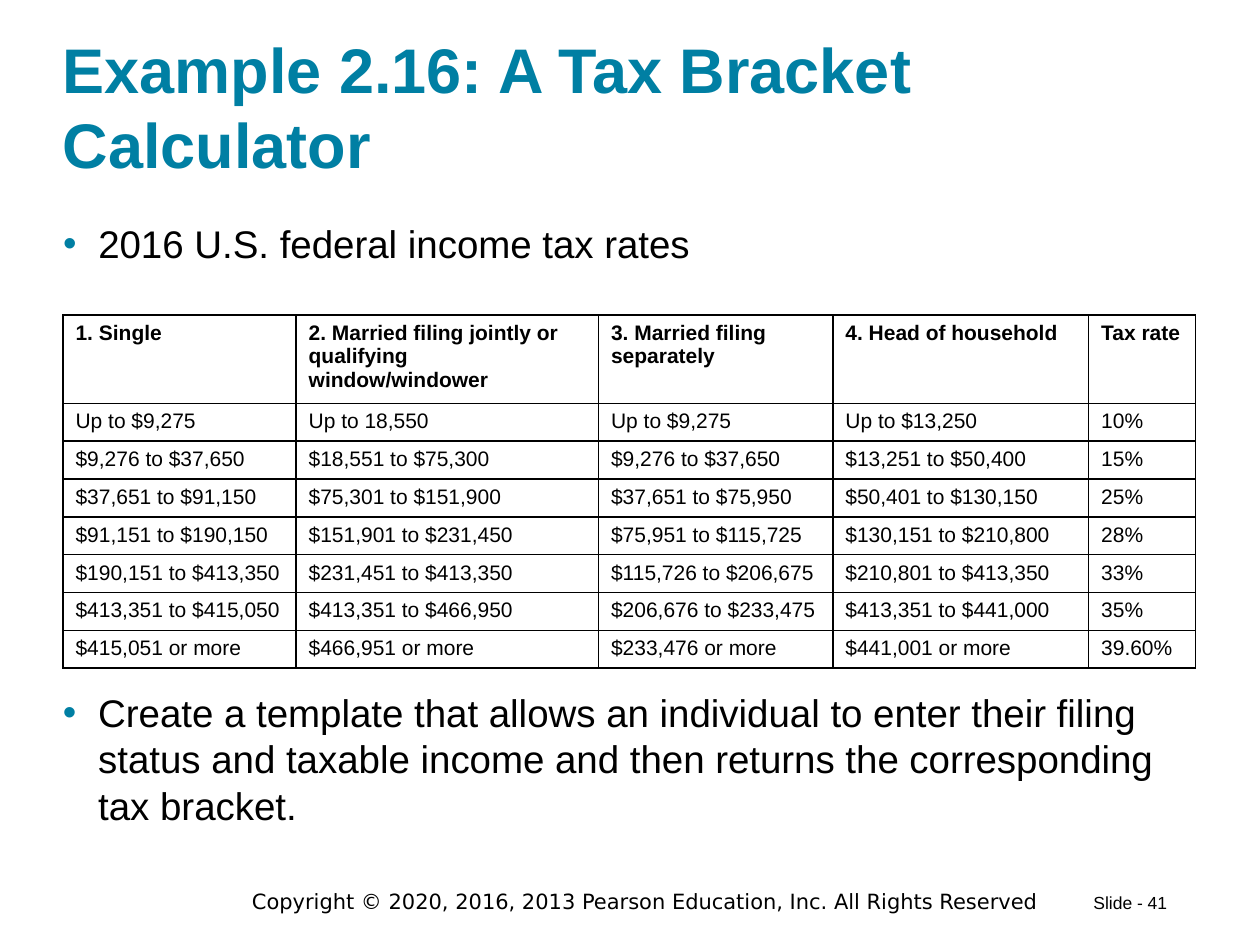
from lxml import etree
from pptx import Presentation
from pptx import util as u
from pptx.dml import color
from pptx.enum import text
from pptx.oxml import ns

COLORS = {"teal": "007FA3", "black": "000000"}
LEFT, WIDTH = 0.5, 9


def add_text(words, left, top, width, height, size, shade="black", font="Arial",
             bold=False, inset=(0, 0), bullet=False):
    frame = slide.shapes.add_textbox(
        u.Inches(left), u.Inches(top), u.Inches(width), u.Inches(height)).text_frame
    frame.word_wrap = True
    frame.margin_left = frame.margin_right = u.Inches(inset[0])
    frame.margin_top = frame.margin_bottom = u.Inches(inset[1])
    frame.text = words
    paragraph = frame.paragraphs[0]
    if bullet:
        props = paragraph._p.get_or_add_pPr()
        props.set("marL", str(u.Inches(0.28)))
        props.set("indent", str(u.Inches(-0.28)))
        bullet_color = etree.SubElement(props, ns.qn("a:buClr"))
        etree.SubElement(bullet_color, ns.qn("a:srgbClr"), val=COLORS["teal"])
        etree.SubElement(props, ns.qn("a:buFont"), typeface="Arial")
        etree.SubElement(props, ns.qn("a:buChar"), char="•")
    style_run(paragraph.runs[0], size, shade, font, bold)
    return frame


def style_run(run, size, shade="black", font="Arial", bold=False):
    run.font.size = u.Pt(size)
    run.font.name = font
    run.font.bold = bold
    run.font.color.rgb = color.RGBColor.from_string(COLORS[shade])


deck = Presentation()
deck.slide_width, deck.slide_height = u.Inches(10), u.Inches(7.5)
slide = deck.slides.add_slide(deck.slide_layouts[6])

# Footer
copyright_line = add_text(
    "Copyright © 2020, 2016, 2013 Pearson Education, Inc. All Rights Reserved",
    1.83, 7, 6.58, 0.3, 12, font="DejaVu Sans", inset=(0.1, 0.05))
copyright_line.paragraphs[0].alignment = text.PP_ALIGN.CENTER
add_text("Slide - 41", 8.58, 7.03, 0.81, 0.27, 10, inset=(0.1, 0.05))

# Title and bullets
title = add_text("Example 2.16: A Tax Bracket Calculator",
                 LEFT, 0.24, WIDTH, 1.2, 36, "teal", bold=True)
title.vertical_anchor = text.MSO_ANCHOR.BOTTOM
add_text("2016 U.S. federal income tax rates",
         LEFT, 1.75, 5.58, 0.57, 22, bullet=True)
add_text("Create a template that allows an individual to enter their filing status "
         "and taxable income and then returns the corresponding tax bracket.",
         LEFT, 5.47, WIDTH, 1.34, 22, bullet=True)

# Tax bracket table
brackets = [
    ("1. Single", "2. Married filing jointly or qualifying window/windower",
     "3. Married filing separately", "4. Head of household", "Tax rate"),
    ("Up to $9,275", "Up to 18,550", "Up to $9,275", "Up to $13,250", "10%"),
    ("$9,276 to $37,650", "$18,551 to $75,300", "$9,276 to $37,650",
     "$13,251 to $50,400", "15%"),
    ("$37,651 to $91,150", "$75,301 to $151,900", "$37,651 to $75,950",
     "$50,401 to $130,150", "25%"),
    ("$91,151 to $190,150", "$151,901 to $231,450", "$75,951 to $115,725",
     "$130,151 to $210,800", "28%"),
    ("$190,151 to $413,350", "$231,451 to $413,350", "$115,726 to $206,675",
     "$210,801 to $413,350", "33%"),
    ("$413,351 to $415,050", "$413,351 to $466,950", "$206,676 to $233,475",
     "$413,351 to $441,000", "35%"),
    ("$415,051 or more", "$466,951 or more", "$233,476 or more",
     "$441,001 or more", "39.60%"),
]
column_widths = [1.85, 2.4, 1.86, 2.03, 0.85]
header_height, bracket_height = 0.66, 0.29

rates = slide.shapes.add_table(
    len(brackets), len(column_widths), u.Inches(LEFT), u.Inches(2.5),
    u.Inches(WIDTH), u.Inches(2.7)).table
rates.first_row = rates.horz_banding = False
for column, width in zip(rates.columns, column_widths):
    column.width = u.Inches(width)

for r, bracket in enumerate(brackets):
    rates.rows[r].height = u.Inches(bracket_height if r else header_height)
    for c, words in enumerate(bracket):
        cell = rates.cell(r, c)
        cell.margin_left = cell.margin_right = u.Inches(0.1)
        cell.margin_top = cell.margin_bottom = u.Inches(0.05)
        cell.text_frame.text = words
        style_run(cell.text_frame.paragraphs[0].runs[0], 12, bold=r == 0)
        # Borders come before the fill in the cell properties
        props = cell._tc.get_or_add_tcPr()
        for side in ("lnL", "lnR", "lnT", "lnB"):
            border = etree.SubElement(props, ns.qn("a:" + side), w=str(u.Pt(1)))
            ink = etree.SubElement(border, ns.qn("a:solidFill"))
            etree.SubElement(ink, ns.qn("a:srgbClr"), val=COLORS["black"])
        cell.fill.background()

deck.save("out.pptx")
